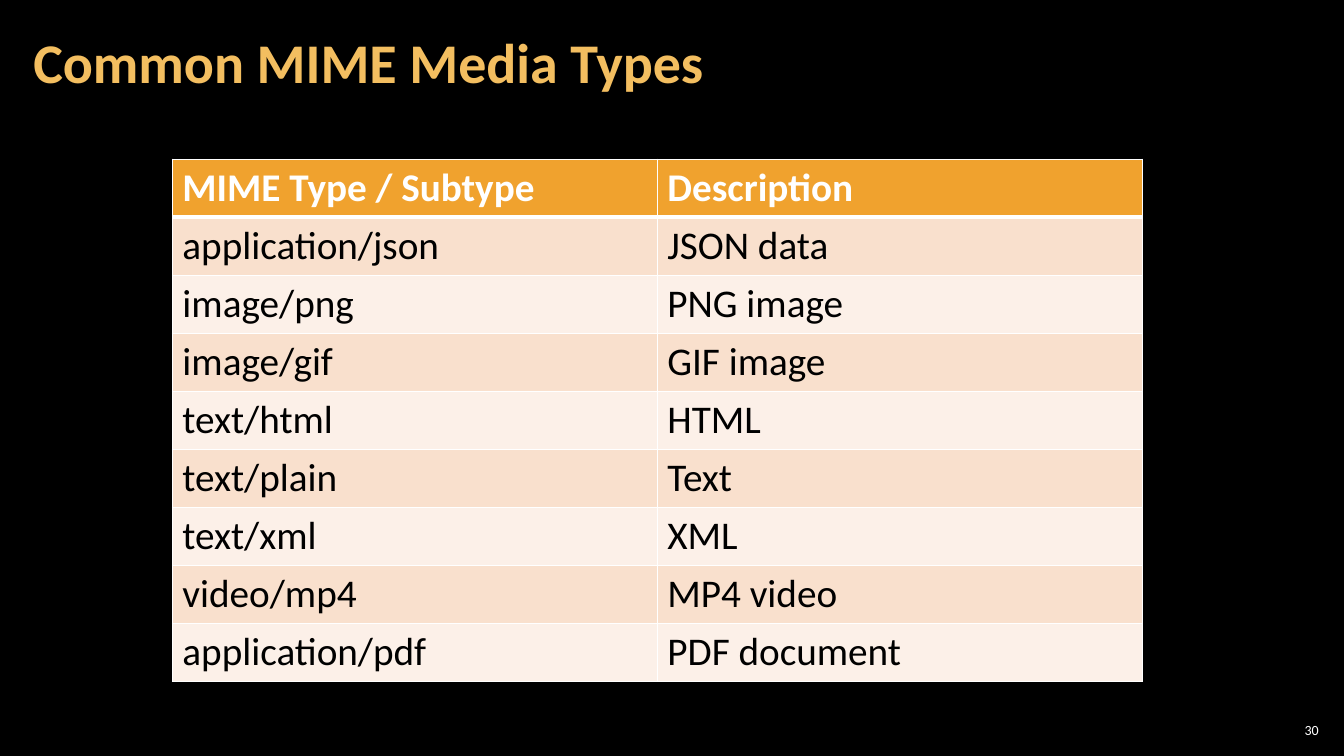
from dataclasses import dataclass
from typing import NamedTuple

from pptx import Presentation
from pptx import util as u
from pptx.dml import color
from pptx.enum import text
from pptx.oxml import ns, xmlchemy


@dataclass(frozen=True)
class Theme:
    font: str = "Calibri"
    background: str = "000000"
    title: str = "F3BE60"
    header: str = "F0A22E"
    bands: tuple[str, str] = ("F9E0CD", "FCF0E8")
    light: str = "FFFFFF"
    dark: str = "000000"
    title_size: int = 40
    table_size: int = 28
    number_size: int = 10
    rule: int = 1
    header_rule: int = 3


class MediaType(NamedTuple):
    name: str
    description: str


THEME = Theme()
HEADER = MediaType("MIME Type / Subtype", "Description")
MEDIA_TYPES = [
    MediaType("application/json", "JSON data"),
    MediaType("image/png", "PNG image"),
    MediaType("image/gif", "GIF image"),
    MediaType("text/html", "HTML"),
    MediaType("text/plain", "Text"),
    MediaType("text/xml", "XML"),
    MediaType("video/mp4", "MP4 video"),
    MediaType("application/pdf", "PDF document"),
]


def rgb(value: str) -> color.RGBColor:
    return color.RGBColor.from_string(value)


def write(tf, content: str, size: int, fill: str, bold: bool = False) -> None:
    tf.text = content
    for r in tf.paragraphs[0].runs:
        r.font.name = THEME.font
        r.font.size = u.Pt(size)
        r.font.bold = bold
        r.font.color.rgb = rgb(fill)


def set_frame(tf, side: float) -> None:
    tf.word_wrap = True
    tf.auto_size = text.MSO_AUTO_SIZE.NONE
    tf.vertical_anchor = text.MSO_ANCHOR.MIDDLE
    tf.margin_left = tf.margin_right = u.Inches(side)
    tf.margin_top = tf.margin_bottom = u.Inches(0.04)


def set_borders(cell, top: int, bottom: int) -> None:
    tc_pr = cell._tc.get_or_add_tcPr()
    widths = {"lnL": THEME.rule, "lnR": THEME.rule, "lnT": top, "lnB": bottom}
    for index, (tag, width) in enumerate(widths.items()):
        ln = xmlchemy.OxmlElement(f"a:{tag}")
        ln.set("w", str(u.Pt(width)))
        fill = xmlchemy.OxmlElement("a:solidFill")
        clr = xmlchemy.OxmlElement("a:srgbClr")
        clr.set("val", THEME.light)
        fill.append(clr)
        ln.append(fill)
        tc_pr.insert(index, ln)


def add_title(s) -> None:
    sp = s.shapes.title
    sp.left, sp.top = u.Inches(0.21), u.Inches(0.04)
    sp.width, sp.height = u.Inches(10.47), u.Inches(1.21)
    set_frame(sp.text_frame, 0.12)
    write(sp.text_frame, "Common MIME Media Types", THEME.title_size, THEME.title, True)
    p = sp.text_frame.paragraphs[0]
    p.alignment = text.PP_ALIGN.LEFT
    p.line_spacing = 0.9


def add_media_table(s) -> None:
    rows = [HEADER, *MEDIA_TYPES]
    table = s.shapes.add_table(
        len(rows), len(HEADER), u.Inches(1.71), u.Inches(1.58), u.Inches(9.62), u.Inches(5.1)
    ).table
    for i, row in enumerate(rows):
        is_header = i == 0
        background = THEME.header if is_header else THEME.bands[(i - 1) % 2]
        top = THEME.header_rule if i == 1 else THEME.rule
        bottom = THEME.header_rule if is_header else THEME.rule
        for j, content in enumerate(row):
            cell = table.cell(i, j)
            cell.fill.solid()
            cell.fill.fore_color.rgb = rgb(background)
            set_borders(cell, top, bottom)
            ink = THEME.light if is_header else THEME.dark
            write(cell.text_frame, content, THEME.table_size, ink, is_header)


def add_slide_number(s) -> None:
    sp = s.shapes.add_textbox(u.Inches(12.65), u.Inches(7.14), u.Inches(0.47), u.Inches(0.21))
    set_frame(sp.text_frame, 0.04)
    write(sp.text_frame, "30", THEME.number_size, THEME.light)
    sp.text_frame.paragraphs[0].alignment = text.PP_ALIGN.RIGHT


def main() -> None:
    prs = Presentation()
    prs.slide_width, prs.slide_height = u.Inches(13.33), u.Inches(7.5)
    s = prs.slides.add_slide(prs.slide_layouts[5])
    s.background.fill.solid()
    s.background.fill.fore_color.rgb = rgb(THEME.background)
    add_slide_number(s)
    add_media_table(s)
    add_title(s)
    prs.save("out.pptx")


if __name__ == "__main__":
    main()
